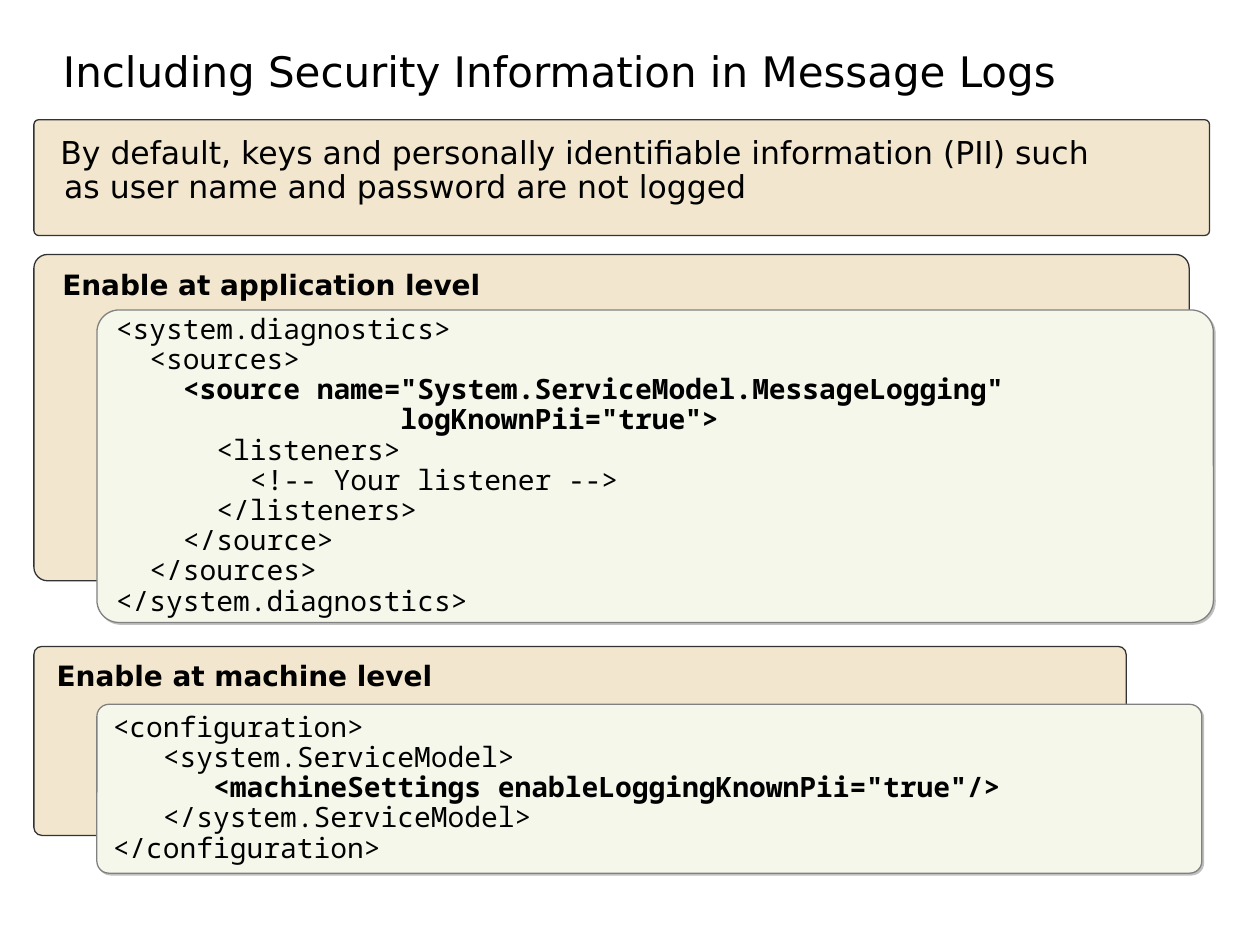
from lxml import etree
from pptx import Presentation
from pptx.dml.color import RGBColor
from pptx.enum.shapes import MSO_SHAPE
from pptx.enum.text import MSO_ANCHOR, PP_ALIGN
from pptx.oxml.ns import qn
from pptx.util import Pt

ROUNDED = MSO_SHAPE.ROUNDED_RECTANGLE
TOP, MIDDLE, BOTTOM = MSO_ANCHOR.TOP, MSO_ANCHOR.MIDDLE, MSO_ANCHOR.BOTTOM
LEFT = PP_ALIGN.LEFT

THEME = {
    "text": "000000",
    "panel": ("F2E7CE", "333333", 0.042),  # fill, line, corner
    "code": ("F6F7EB", "808080", 0.071),
    "shadow": "C0C0C0",
    "sans": "DejaVu Sans",
    "mono": "Noto Sans Mono",
    "title_size": 24,
    "body_size": 18,
    "small_size": 16,
}

TITLE = "Including Security Information in Message Logs"
SUMMARY = ("By default, keys and personally identifiable information (PII) "
           "such as user name and password are not logged")

# Boxes are (left, top, width, height) in points; code lines are (text, bold).
SECTIONS = [
    {
        "heading": "Enable at application level",
        "panel": (19.4, 145.4, 660.2, 186.5),
        "heading_box": (35.6, 154.8, 281.5, 31.7),
        "code_box": (55.4, 177.1, 638, 178.6),
        "code": [
            ("<system.diagnostics>", False),
            ("  <sources>", False),
            ('    <source name="System.ServiceModel.MessageLogging"', True),
            ('                 logKnownPii="true">', True),
            ("      <listeners>", False),
            ("        <!-- Your listener -->", False),
            ("      </listeners>", False),
            ("    </source>", False),
            ("  </sources>", False),
            ("</system.diagnostics>", False),
        ],
    },
    {
        "heading": "Enable at machine level",
        "panel": (19.4, 369.4, 624.2, 108),
        "heading_box": (32.4, 378.7, 281.5, 31.7),
        "code_box": (55.4, 402.5, 631.4, 96.5),
        "code": [
            ("<configuration>", False),
            ("   <system.ServiceModel>", False),
            ('      <machineSettings enableLoggingKnownPii="true"/>', True),
            ("   </system.ServiceModel>", False),
            ("</configuration>", False),
        ],
    },
]


def add_panel(slide, box, style):
    fill, line, corner = THEME[style]
    s = slide.shapes.add_shape(ROUNDED, *map(Pt, box))
    s.adjustments[0] = corner
    s.shadow.inherit = False
    s.fill.solid()
    s.fill.fore_color.rgb = RGBColor.from_string(fill)
    s.line.color.rgb = RGBColor.from_string(line)
    s.line.width = Pt(0.75)
    return s


def add_shadow(s):
    effects = s._element.spPr.find(qn("a:effectLst"))
    shadow = etree.SubElement(effects, qn("a:outerShdw"), blurRad="0",
                              dist=str(Pt(1.4)), dir=str(45 * 60000), algn="ctr", rotWithShape="0")
    etree.SubElement(shadow, qn("a:srgbClr"), val=THEME["shadow"])


def write(s, lines, font, size, anchor=TOP, insets=(0, 0, 0, 0), spacing=0.9):
    """Fill a shape with (text, bold) lines, one paragraph each."""
    tf = s.text_frame
    tf.word_wrap = True
    tf.vertical_anchor = anchor
    tf.margin_left, tf.margin_top, tf.margin_right, tf.margin_bottom = map(Pt, insets)
    for i, (text, bold) in enumerate(lines):
        p = tf.add_paragraph() if i else tf.paragraphs[0]
        p.alignment = LEFT
        p.line_spacing = spacing
        r = p.add_run()
        r.text = text
        r.font.name = THEME[font]
        r.font.size = Pt(THEME[size])
        r.font.bold = bold
        r.font.color.rgb = RGBColor.from_string(THEME["text"])
    return tf


def add_text(slide, box, text, size, bold=False, **layout):
    s = slide.shapes.add_textbox(*map(Pt, box))
    return write(s, [(text, bold)], "sans", size, **layout)


def add_section(slide, section):
    add_panel(slide, section["panel"], "panel")
    s = add_panel(slide, section["code_box"], "code")
    add_shadow(s)
    write(s, section["code"], "mono", "small_size", anchor=MIDDLE, insets=(7.2, 3.6, 7.2, 3.6))
    add_text(slide, section["heading_box"], section["heading"], "small_size", bold=True)


def main():
    prs = Presentation()
    prs.slide_width, prs.slide_height = Pt(720), Pt(540)
    slide = prs.slides.add_slide(prs.slide_layouts[6])

    add_text(slide, (36, 0, 612, 58.3), TITLE, "title_size",
             anchor=BOTTOM, insets=(0, 3.6, 7.2, 3.6), spacing=0.85)

    add_panel(slide, (19.4, 68.4, 671.8, 66.2), "panel")
    tf = add_text(slide, (23, 78.5, 610.6, 54), SUMMARY, "body_size")
    pPr = tf.paragraphs[0]._p.get_or_add_pPr()
    pPr.set("marL", str(Pt(13.7)))
    pPr.set("indent", str(Pt(-2.2)))

    for section in SECTIONS:
        add_section(slide, section)
    prs.save("out.pptx")


if __name__ == "__main__":
    main()
